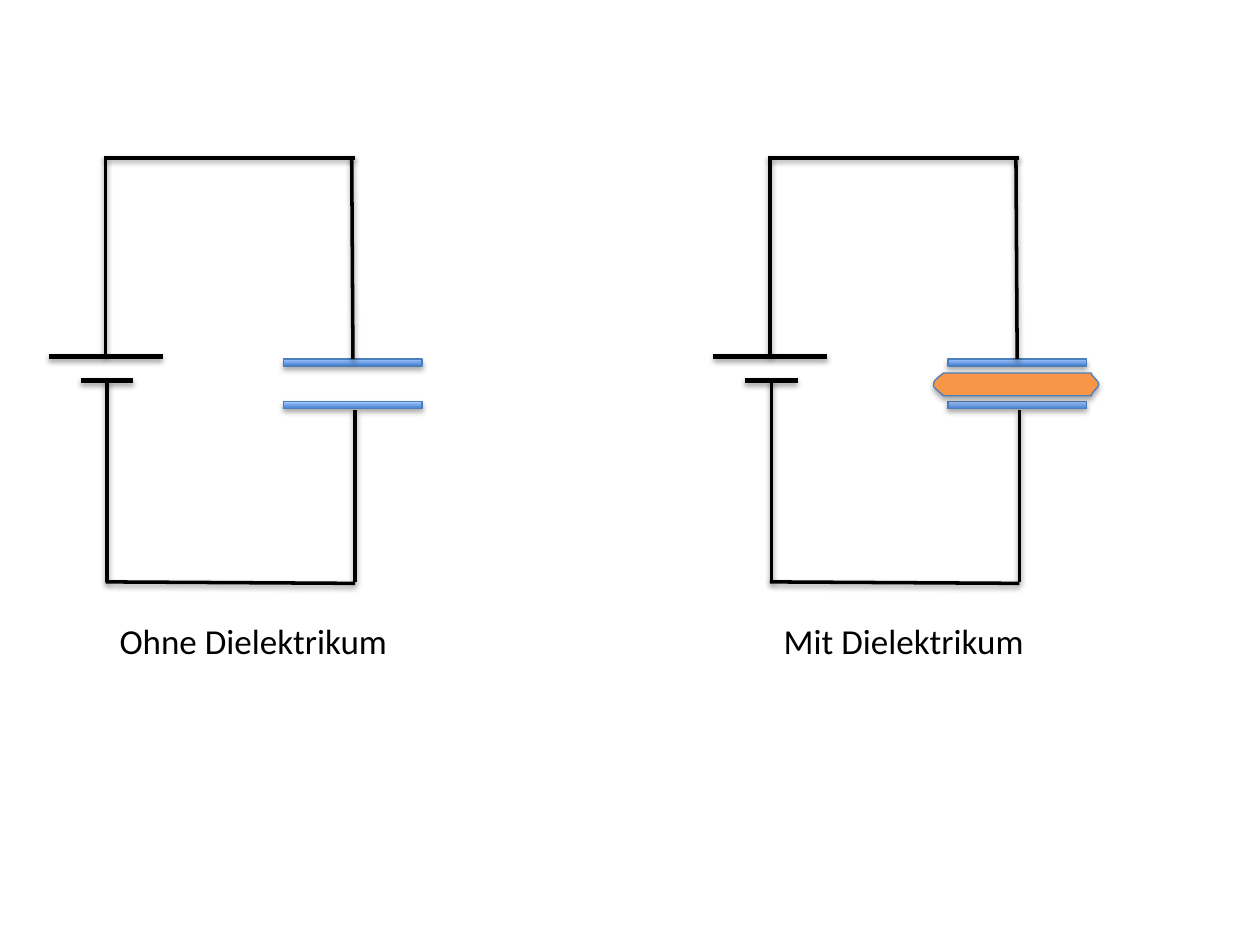
from lxml.etree import SubElement
from pptx import Presentation
from pptx.dml.color import RGBColor
from pptx.enum.shapes import MSO_CONNECTOR as Link, MSO_SHAPE as Form
from pptx.enum.text import MSO_AUTO_SIZE as Fit
from pptx.oxml.ns import qn
from pptx.util import Cm, Pt

COLORS = {"wire": "000000", "dark": "3F80CE", "light": "A4C4FF",
          "edge": "4B7EBC", "slab": "F79646", "text": "000000"}
STEP = 13.39  # distance between the two circuits, in cm

# Wires and battery poles of a circuit: x1, y1, x2, y2 in cm
WIRES = [(2.13, 3.15, 2.13, 7.19), (7.16, 11.73, 7.16, 8.26),
         (2.16, 11.73, 2.16, 7.67), (7.16, 11.76, 2.13, 11.73),
         (7.16, 3.18, 2.11, 3.18)]
POLES = [(0.99, 7.19, 3.28, 7.19), (1.63, 7.67, 2.69, 7.67)]


def color(name):
    return RGBColor.from_string(COLORS[name])


def shade(item, alpha, dist):
    """Give a shape or connector a soft shadow that falls downwards."""
    glow = SubElement(item._element.spPr, qn("a:effectLst"))
    outer = SubElement(glow, qn("a:outerShdw"), blurRad=str(Pt(3.15)),
                       dist=str(Pt(dist)), dir="5400000", rotWithShape="0")
    tint = SubElement(outer, qn("a:srgbClr"), val="000000")
    SubElement(tint, qn("a:alpha"), val=str(alpha * 1000))


def edge(shape):
    shape.line.color.rgb = color("edge")
    shape.line.width = Pt(0.75)
    shade(shape, 35, 1.8)


def add_line(slide, left, ends, width, plate=None):
    x1, y1, x2, y2 = ends
    line = slide.shapes.add_connector(
        Link.STRAIGHT, Cm(left + x1), Cm(y1), Cm(left + x2), Cm(y2))
    line.line.color.rgb = color("wire")
    line.line.width = Pt(width)
    shade(line, 38, 1.6)
    if plate is not None:
        line.end_connect(plate, 0)


def add_plate(slide, left, top):
    plate = slide.shapes.add_shape(
        Form.RECTANGLE, Cm(left + 5.72), Cm(top), Cm(2.79), Cm(0.14))
    plate.fill.gradient()
    plate.fill.gradient_angle = 90
    for stop, name in zip(plate.fill.gradient_stops, ("dark", "light")):
        stop.color.rgb = color(name)
    edge(plate)
    return plate


def curve(a, b, c, d, steps=8):
    """Points of a cubic curve from a to d, without a itself."""
    for i in range(1, steps + 1):
        t = i / steps
        u = 1 - t
        yield tuple(u**3 * p + 3 * u * u * t * q + 3 * u * t * t * r + t**3 * s
                    for p, q, r, s in zip(a, b, c, d))


def add_slab(slide):
    """Draw the dielectric with its rounded, pointed ends."""
    start, right, base = (19.02, 7.52), (22, 7.52), (22, 7.98)
    tip, foot, nose = (22.15, 7.75), (19.02, 7.98), (18.82, 7.75)
    points = [right,
              *curve(right, (22, 7.59), (22.15, 7.67), tip),
              *curve(tip, (22.15, 7.82), (22, 7.9), base),
              foot,
              *curve(foot, (18.95, 7.9), (18.8, 7.82), nose),
              *curve(nose, (18.82, 7.65), (18.95, 7.59), start)]
    pen = slide.shapes.build_freeform(Cm(start[0]), Cm(start[1]))
    pen.add_line_segments([(Cm(x), Cm(y)) for x, y in points], close=True)
    slab = pen.convert_to_shape()
    slab.fill.solid()
    slab.fill.fore_color.rgb = color("slab")
    edge(slab)


def add_label(slide, left, width, text):
    box = slide.shapes.add_textbox(Cm(left + 2.16), Cm(12.37), Cm(width), Cm(1.12))
    frame = box.text_frame
    frame.word_wrap = False
    frame.auto_size = Fit.SHAPE_TO_FIT_TEXT
    para = frame.paragraphs[0]
    para.text = text
    para.font.name = "Calibri"
    para.font.size = Pt(20)
    para.font.color.rgb = color("text")


def add_circuit(slide, left):
    upper, _ = [add_plate(slide, left, top) for top in (7.24, 8.1)]
    add_line(slide, left, (7.09, 3.15, 7.11, 7.24), 2, upper)
    for ends in WIRES:
        add_line(slide, left, ends, 2)
    for ends in POLES:
        add_line(slide, left, ends, 3)


def main():
    deck = Presentation()
    deck.slide_width, deck.slide_height = Cm(25.4), Cm(19.05)
    slide = deck.slides.add_slide(deck.slide_layouts[6])

    # Circuits without and with the dielectric
    for left in (0, STEP):
        add_circuit(slide, left)
    add_slab(slide)

    # Captions
    add_label(slide, 0, 5.97, "Ohne Dielektrikum")
    add_label(slide, STEP, 5.41, "Mit Dielektrikum")
    deck.save("out.pptx")


if __name__ == "__main__":
    main()
